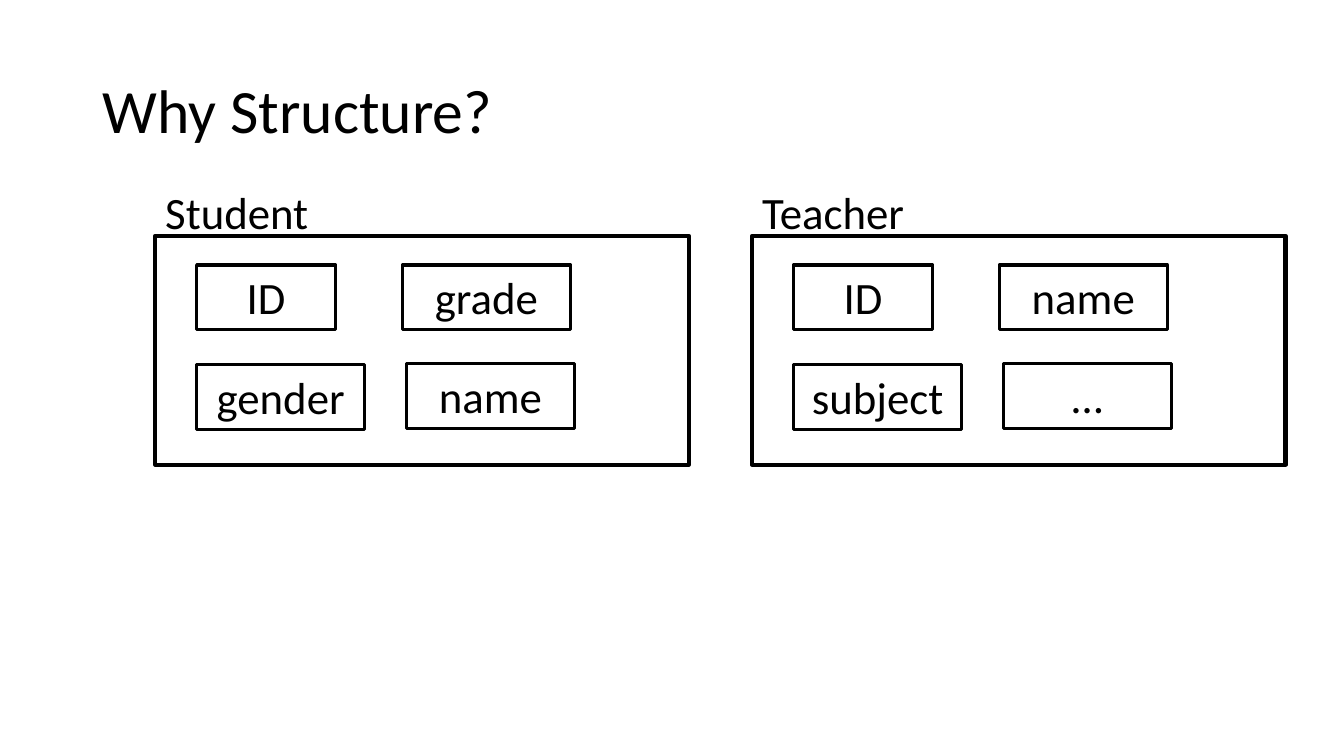
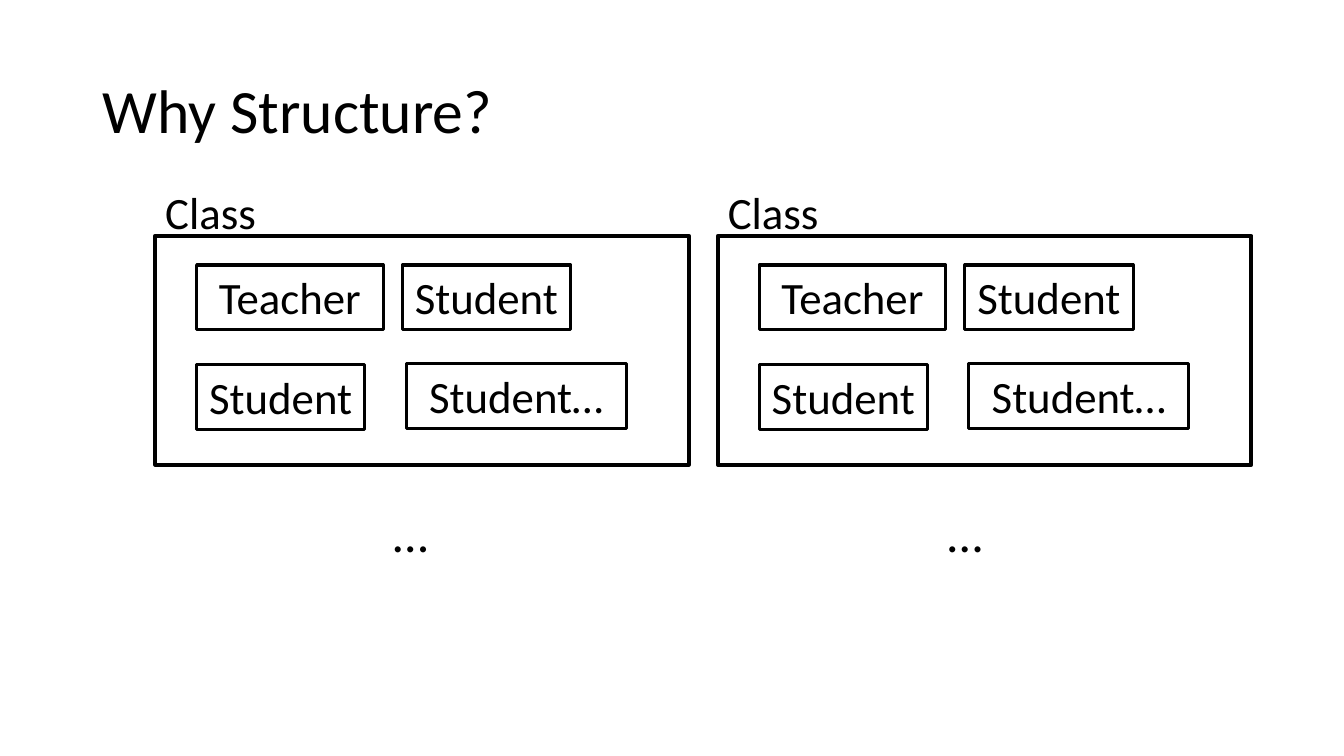
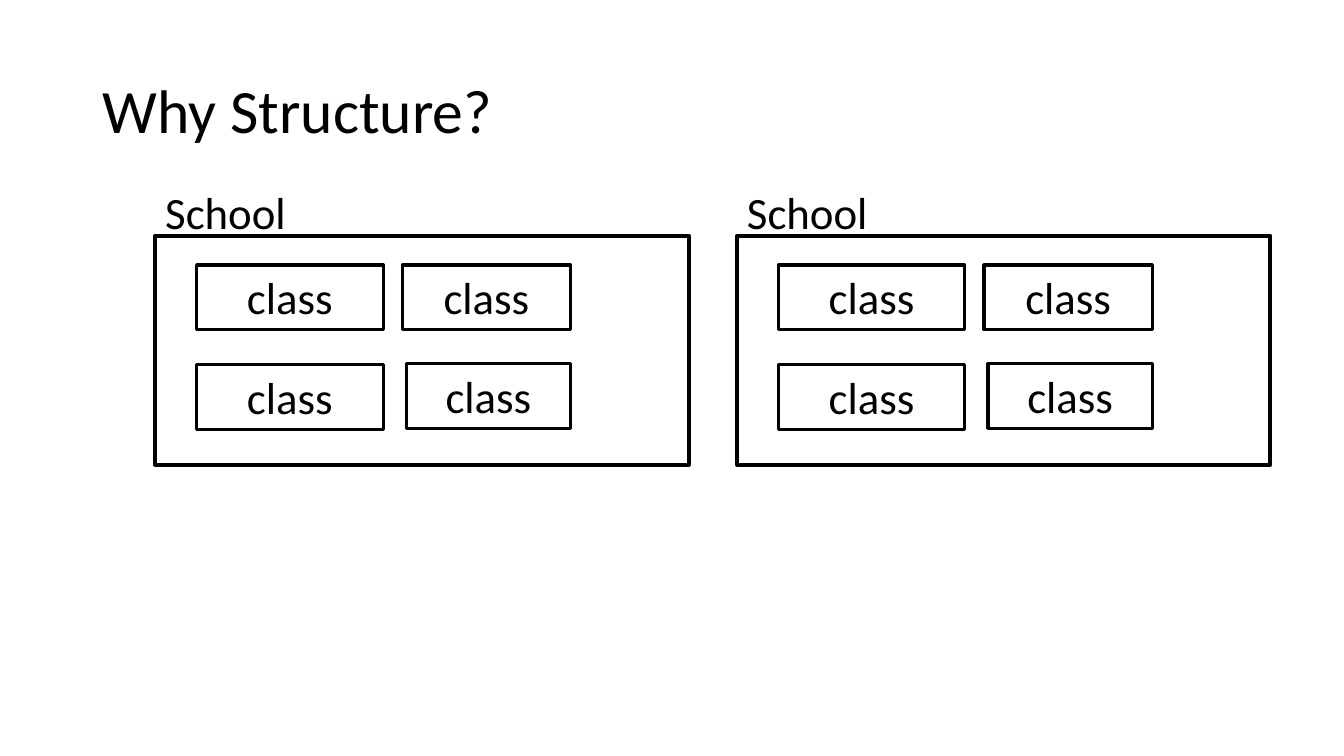
from dataclasses import dataclass

from pptx import Presentation
from pptx.dml.color import RGBColor
from pptx.enum.shapes import MSO_SHAPE
from pptx.enum.text import MSO_ANCHOR, MSO_AUTO_SIZE, PP_ALIGN
from pptx.util import Inches, Pt

RECT = MSO_SHAPE.RECTANGLE
TOP, MIDDLE = MSO_ANCHOR.TOP, MSO_ANCHOR.MIDDLE
LEFT, CENTER = PP_ALIGN.LEFT, PP_ALIGN.CENTER
GROW = MSO_AUTO_SIZE.SHAPE_TO_FIT_TEXT

# Shared style, lengths in inches
FONT, INK, PAPER = "Calibri", "000000", "FFFFFF"
TITLE = "Why Structure?"
FRAME_X, FRAME_Y, FRAME_W, FRAME_H = 1.54, 2.34, 5.29, 2.27
LABEL_RISE, LABEL_W = 0.56, 2.45
ROW_H = 0.64
# Field corners inside a frame: left column, then right column
SLOTS = ((0.41, 0.29), (0.41, 1.28), (2.45, 0.29), (2.49, 1.27))


@dataclass
class Page:
    labels: tuple[str, str]
    fields: tuple[tuple[str, ...], tuple[str, ...]]
    widths: tuple[float, ...]
    gap: float
    dots: tuple[float, ...] = ()


PAGES = (
    Page(("Student", "Teacher"),
         (("ID", "gender", "grade", "name"), ("ID", "subject", "name", "…")),
         (1.38, 1.67, 1.67, 1.67), 0.63),
    Page(("Class", "Class"),
         (("Teacher", "Student", "Student", "Student…"),) * 2,
         (1.85, 1.67, 1.67, 2.18), 0.29, (3.8, 9.3)),
    Page(("School", "School"),
         (("class",) * 4,) * 2,
         (1.85, 1.85, 1.67, 1.63), 0.48),
)


def color(code: str) -> RGBColor:
    return RGBColor.from_string(code)


def write(frame, text: str, size: float, align=LEFT, anchor=TOP) -> None:
    frame.text = text
    frame.word_wrap = True
    frame.vertical_anchor = anchor
    para = frame.paragraphs[0]
    para.alignment = align
    para.font.name = FONT
    para.font.size = Pt(size)
    para.font.color.rgb = color(INK)


def add_title(slide) -> None:
    title = slide.shapes.title
    title.left, title.top = Inches(0.92), Inches(0.4)
    title.width, title.height = Inches(11.5), Inches(1.45)
    write(title.text_frame, TITLE, 44, anchor=MIDDLE)
    title.text_frame.paragraphs[0].line_spacing = 0.9


def add_box(slide, x: float, y: float, w: float, h: float, line: float,
            text: str = "") -> None:
    box = slide.shapes.add_shape(RECT, *map(Inches, (x, y, w, h)))
    box.shadow.inherit = False
    box.fill.solid()
    box.fill.fore_color.rgb = color(PAPER)
    box.line.color.rgb = color(INK)
    box.line.width = Pt(line)
    if text:
        write(box.text_frame, text, 32, CENTER)
        box.text_frame.auto_size = GROW


def add_text(slide, x: float, y: float, w: float, h: float, text: str,
             size: float) -> None:
    box = slide.shapes.add_textbox(*map(Inches, (x, y, w, h)))
    write(box.text_frame, text, size)
    box.text_frame.auto_size = GROW


def add_struct(slide, x: float, label: str, fields: tuple[str, ...],
               widths: tuple[float, ...]) -> None:
    add_box(slide, x, FRAME_Y, FRAME_W, FRAME_H, 3)
    add_text(slide, x, FRAME_Y - LABEL_RISE, LABEL_W, ROW_H, label, 32)
    for (dx, dy), name, width in zip(SLOTS, fields, widths):
        add_box(slide, x + dx, FRAME_Y + dy, width, ROW_H, 2.25, name)


def main() -> None:
    deck = Presentation()
    deck.slide_width, deck.slide_height = Inches(13.33), Inches(7.5)
    for page in PAGES:
        slide = deck.slides.add_slide(deck.slide_layouts[5])
        add_title(slide)
        # Two structures side by side
        for col, (label, fields) in enumerate(zip(page.labels, page.fields)):
            x = FRAME_X + col * (FRAME_W + page.gap)
            add_struct(slide, x, label, fields, page.widths)
        # Marks for further structures
        for x in page.dots:
            add_text(slide, x, 4.93, 1.21, 0.71, "…", 36)
    deck.save("out.pptx")


if __name__ == "__main__":
    main()
